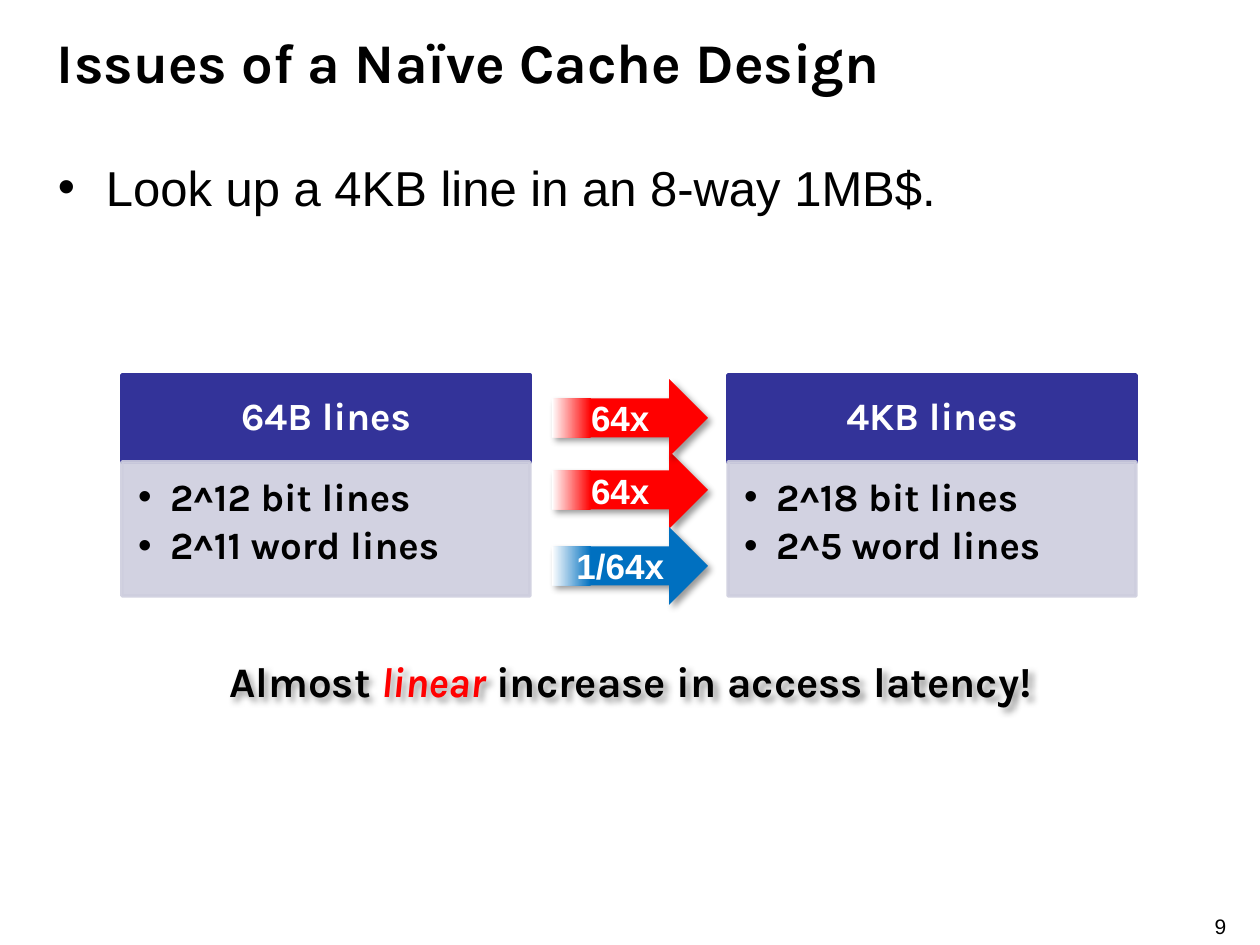
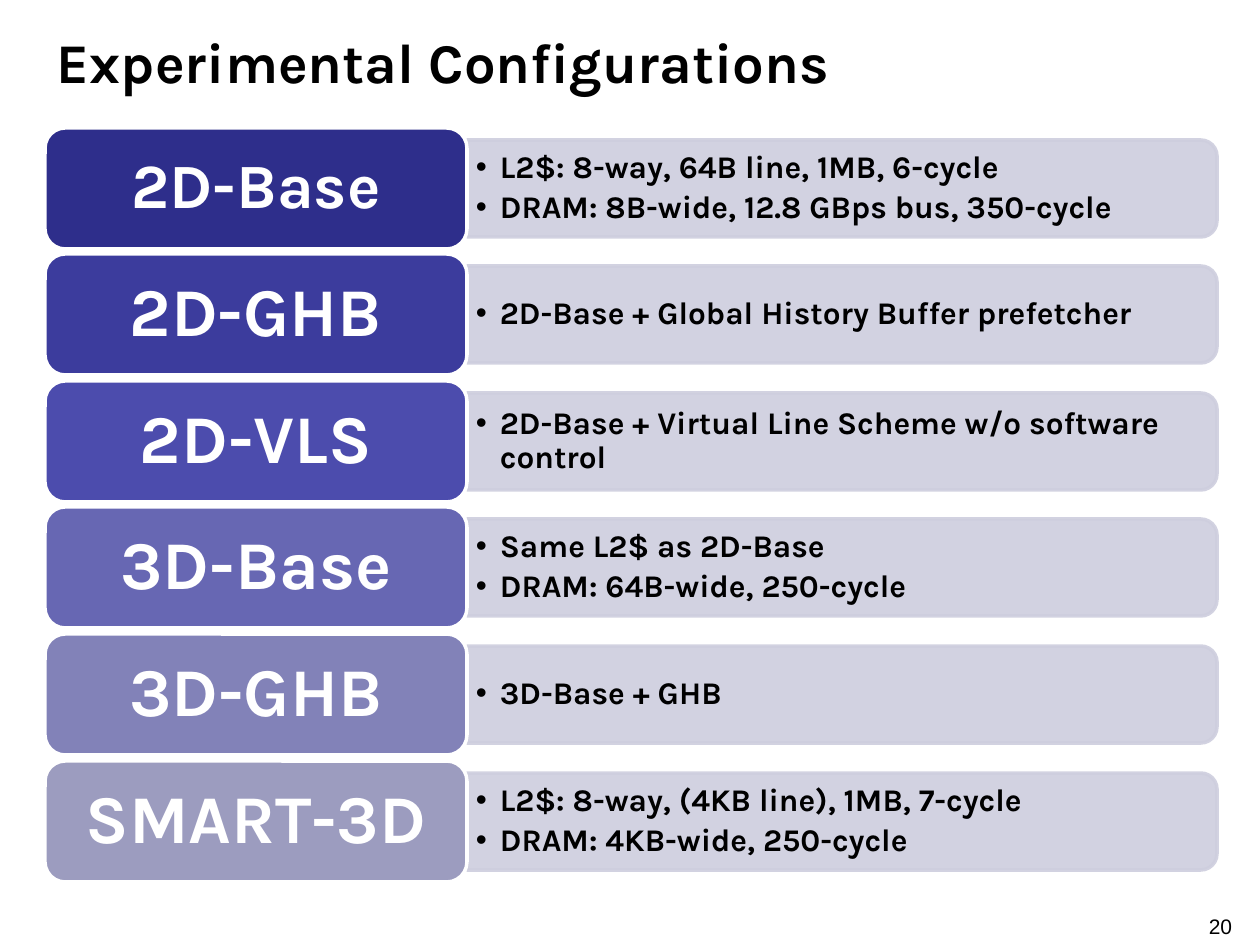
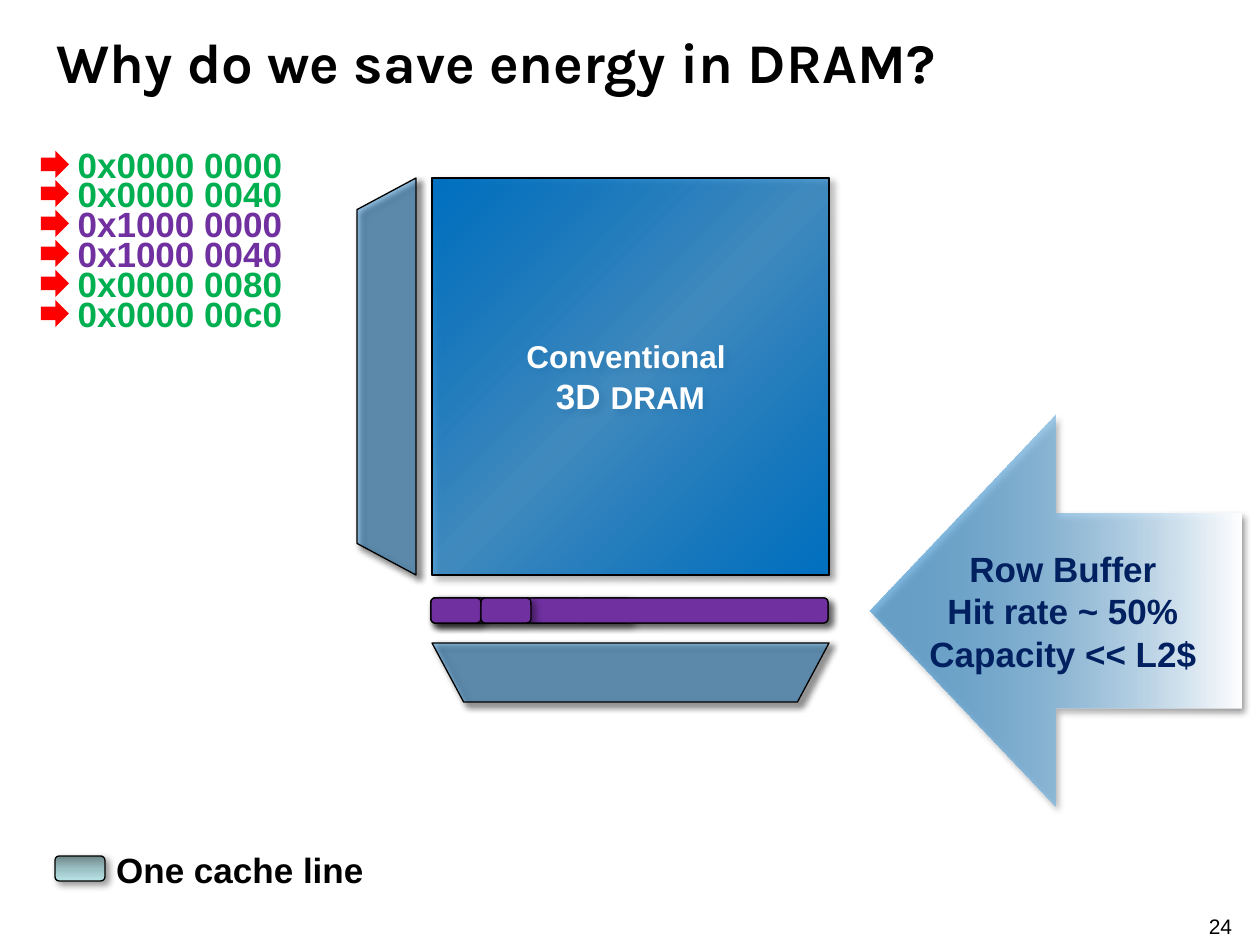
from lxml import etree
from pptx import Presentation
from pptx import util as u
from pptx.dml.color import RGBColor
from pptx.enum import shapes, text
from pptx.oxml.ns import qn

EMU_PER_PX = 914400 / 126
HEADING, BODY = "Karla", "Arial"
KIND = shapes.MSO_SHAPE
ALIGN = text.PP_ALIGN
ANCHOR = text.MSO_ANCHOR
COLORS = {
    "black": "000000", "white": "FFFFFF", "red": "FF0000", "blue": "0070C0",
    "navy": "002060", "indigo": "333399", "lavender": "CECEDE",
    "green": "00B050", "purple": "7030A0",
    "teal_dark": "6D8688", "teal": "9BBFC2", "teal_light": "B8E3E6",
    "base_2d": "2E2E8B", "ghb_2d": "3C3C9D", "vls_2d": "4C4CAD",
    "base_3d": "6767B3", "ghb_3d": "8282B8", "smart_3d": "9C9CBF",
}


def px(length):
    return u.Emu(round(length * EMU_PER_PX))


def rgb(color):
    return RGBColor.from_string(COLORS[color])


def set_alpha(srgb, percent):
    if percent < 100:
        etree.SubElement(srgb, qn("a:alpha")).set("val", str(percent * 1000))


def paint(fill_format, owner, color, alpha):
    """Solid fill; owner is the XML element that holds it."""
    fill_format.solid()
    fill_format.fore_color.rgb = rgb(color)
    set_alpha(owner.find(qn("a:solidFill")).find(qn("a:srgbClr")), alpha)


def paint_gradient(shape, stops, angle):
    """Stops are (percent, color, alpha); the angle runs clockwise."""
    shape.fill.gradient()
    shape.fill.gradient_angle = -angle % 360
    stop_list = shape._element.spPr.find(qn("a:gradFill")).find(qn("a:gsLst"))
    for old_stop in list(stop_list):
        stop_list.remove(old_stop)
    for position, color, alpha in stops:
        stop = etree.SubElement(stop_list, qn("a:gs"))
        stop.set("pos", str(position * 1000))
        srgb = etree.SubElement(stop, qn("a:srgbClr"))
        srgb.set("val", COLORS[color])
        set_alpha(srgb, alpha)


def cast_shadow(shape):
    shape.shadow.inherit = False
    effects = shape._element.spPr.find(qn("a:effectLst"))
    outer = etree.SubElement(effects, qn("a:outerShdw"))
    for key, value in (("blurRad", u.Pt(4)), ("dist", u.Pt(3)),
                       ("dir", 45 * 60000), ("algn", "tl"), ("rotWithShape", 0)):
        outer.set(key, str(value))
    srgb = etree.SubElement(outer, qn("a:srgbClr"))
    srgb.set("val", COLORS["black"])
    set_alpha(srgb, 40)


def add_block(slide, kind, box, fill=None, alpha=100, line=None, line_width=0.75,
              gradient=None, rotation=0, shadow=False):
    """Preset shape; box is its place as seen after the rotation."""
    left, top, width, height = box
    if rotation % 180:
        left, top = left + (width - height) / 2, top + (height - width) / 2
        width, height = height, width
    block = slide.shapes.add_shape(kind, px(left), px(top), px(width), px(height))
    block.rotation = rotation
    if gradient:
        paint_gradient(block, *gradient)
    else:
        paint(block.fill, block._element.spPr, fill, alpha)
    if line:
        block.line.width = u.Pt(line_width)
        paint(block.line.fill, block.line._ln, line, alpha)
    else:
        block.line.fill.background()
    if shadow:
        cast_shadow(block)
    else:
        block.shadow.inherit = False
    return block


def set_bullet(paragraph, indent):
    properties = paragraph._p.get_or_add_pPr()
    properties.set("marL", str(px(indent)))
    properties.set("indent", str(-px(indent)))
    etree.SubElement(properties, qn("a:buFont")).set("typeface", BODY)
    etree.SubElement(properties, qn("a:buChar")).set("char", "•")


def write(shape, lines, size, color="black", font=BODY, bold=True, align=ALIGN.CENTER,
          anchor=ANCHOR.MIDDLE, insets=(13, 6, 13, 6), bullet=0, spacing=None,
          after=0, wrap=True):
    """Fill a shape with one paragraph per line, all in one style."""
    frame = shape.text_frame
    frame.text = "\n".join(lines)
    frame.auto_size = text.MSO_AUTO_SIZE.NONE
    frame.word_wrap = wrap
    frame.vertical_anchor = anchor
    (frame.margin_left, frame.margin_top,
     frame.margin_right, frame.margin_bottom) = map(px, insets)
    for paragraph in frame.paragraphs:
        paragraph.alignment = align
        if bullet:
            set_bullet(paragraph, bullet)
        if spacing:
            paragraph.line_spacing = spacing
        if after:
            paragraph.space_after = u.Pt(after)
        for run in paragraph.runs:
            style_run(run, size, color, font, bold)
    return frame


def style_run(run, size, color, font=BODY, bold=True):
    run.font.size = u.Pt(size)
    run.font.name = font
    run.font.bold = bold
    run.font.color.rgb = rgb(color)


def add_label(slide, box, lines, size, **style):
    label = slide.shapes.add_textbox(*map(px, box))
    write(label, lines, size, **style)
    return label


def add_slide(deck, title, number):
    slide = deck.slides.add_slide(deck.slide_layouts[5])
    heading = slide.shapes.title
    heading.left, heading.top, heading.width, heading.height = map(px, (44, 9, 1173, 105))
    write(heading, [title], 32, font=HEADING, align=ALIGN.LEFT)
    add_label(slide, (1189, 914, 63, 25), [str(number)], 12, bold=False,
              anchor=ANCHOR.TOP, insets=(0, 0, 0, 0))
    return slide


def add_line_card(slide, left, header, facts):
    head = add_block(slide, KIND.RECTANGLE, (left, 375, 408, 87), "indigo",
                     line="indigo", line_width=2)
    write(head, [header], 22, "white", HEADING, spacing=0.9)
    body = add_block(slide, KIND.RECTANGLE, (left, 462, 408, 134), "lavender", 90,
                     line="lavender", line_width=2)
    write(body, facts, 22, font=HEADING, align=ALIGN.LEFT, anchor=ANCHOR.TOP,
          insets=(16, 16, 21, 24), bullet=32, spacing=0.9, after=3.8)


def add_factor_arrow(slide, top, factor, color):
    stops = [(0, color, 100), (75, color, 100), (100, "white", 100)]
    arrow = add_block(slide, KIND.RIGHT_ARROW, (552, top, 156, 78),
                      gradient=(stops, 180), shadow=True)
    write(arrow, [factor], 20, "white", insets=(0, 0, 0, 0), wrap=False)


def add_configuration(slide, top, name, size, color, facts):
    add_block(slide, KIND.ROUND_2_SAME_RECTANGLE, (467, top + 12, 750, 97), "lavender",
              90, line="lavender", line_width=2, rotation=90)
    add_label(slide, (467, top + 17, 746, 87), facts, 18, font=HEADING,
              align=ALIGN.LEFT, insets=(9, 5, 9, 5), bullet=24, spacing=0.9, after=3.2)
    tag = add_block(slide, KIND.ROUNDED_RECTANGLE, (45, top, 422, 121), color,
                    line="white", line_width=2)
    write(tag, [name], size, "white", HEADING, spacing=0.9)


def add_row_buffer(slide, color, cached_slots):
    """An open DRAM row and the cache lines read from it."""
    left, slot_width = 431, 50
    spans = [(left, 397)] + [(left + slot * slot_width, slot_width) for slot in cached_slots]
    for start, width in spans:
        add_block(slide, KIND.ROUNDED_RECTANGLE, (start, 598, width, 25), color,
                  line="black", shadow=True)


def add_decoder(slide, box, rotation):
    decoder = add_block(slide, KIND.TRAPEZOID, box, "blue", 40, rotation=rotation,
                        shadow=True)
    decoder.adjustments[0] = 0.535
    decoder.line.width = u.Pt(0.75)
    decoder.line.color.rgb = rgb("black")


def build_naive_design(deck):
    slide = add_slide(deck, "Issues of a Naïve Cache Design", 9)
    add_label(slide, (45, 151, 1172, 747), ["Look up a 4KB line in an 8-way 1MB$."], 28,
              bold=False, align=ALIGN.LEFT, anchor=ANCHOR.TOP, bullet=48)
    add_line_card(slide, 122, "64B lines", ["2^12 bit lines", "2^11 word lines"])
    add_line_card(slide, 728, "4KB lines", ["2^18 bit lines", "2^5 word lines"])
    for top, factor, color in ((451, "64x", "red"), (527, "1/64x", "blue"),
                               (379, "64x", "red")):
        add_factor_arrow(slide, top, factor, color)

    conclusion = add_label(slide, (184, 649, 893, 63), ["Almost "], 24, font=HEADING)
    sentence = conclusion.text_frame.paragraphs[0]
    for words, color in (("linear ", "red"), ("increase in access latency!", "black")):
        run = sentence.add_run()
        run.text = words
        style_run(run, 24, color, HEADING)
        run.font.italic = color == "red"
    cast_shadow(conclusion)


def build_configurations(deck):
    slide = add_slide(deck, "Experimental Configurations", 20)
    configurations = [
        ("2D-Base", 36, "base_2d", ["L2$: 8-way, 64B line, 1MB, 6-cycle",
                                    "DRAM: 8B-wide, 12.8 GBps bus, 350-cycle"]),
        ("2D-GHB", 39, "ghb_2d", ["2D-Base + Global History Buffer prefetcher"]),
        ("2D-VLS", 39, "vls_2d", ["2D-Base + Virtual Line Scheme w/o software control"]),
        ("3D-Base", 39, "base_3d", ["Same L2$ as 2D-Base", "DRAM: 64B-wide, 250-cycle"]),
        ("3D-GHB", 39, "ghb_3d", ["3D-Base + GHB"]),
        ("SMART-3D", 39, "smart_3d", ["L2$: 8-way, (4KB line), 1MB, 7-cycle",
                                      "DRAM: 4KB-wide, 250-cycle"]),
    ]
    for row, configuration in enumerate(configurations):
        add_configuration(slide, 128 + row * 633 // 5, *configuration)


def build_dram_energy(deck):
    slide = add_slide(deck, "Why do we save energy in DRAM?", 24)
    sheen = [(0, "blue", 100), (50, "blue", 65), (100, "blue", 100)]
    dram = add_block(slide, KIND.RECTANGLE, (432, 178, 397, 397), line="black",
                     gradient=(sheen, 45), shadow=True)
    frame = write(dram, ["Conventional ", "3D "], 18, "white")
    stacked = frame.paragraphs[1]
    stacked.runs[0].font.size = u.Pt(20)
    kind = stacked.add_run()
    kind.text = "DRAM"
    style_run(kind, 18, "white")

    add_decoder(slide, (357, 178, 59, 397), 270)
    add_decoder(slide, (432, 643, 397, 59), 180)
    add_row_buffer(slide, "green", (0, 2, 3))
    add_row_buffer(slide, "purple", (0, 1))

    add_block(slide, KIND.RIGHT_ARROW, (869, 415, 372, 392), rotation=180, shadow=True,
              gradient=([(0, "white", 100), (100, "blue", 50)], 0))
    add_label(slide, (912, 541, 302, 140),
              ["Row Buffer", "Hit rate ~ 50%", "Capacity << L2$"], 20, color="navy")

    teals = [(0, "teal_dark", 100), (50, "teal", 100), (100, "teal_light", 100)]
    add_block(slide, KIND.ROUNDED_RECTANGLE, (55, 856, 50, 25), line="black",
              gradient=(teals, 90), shadow=True)
    add_label(slide, (101, 842, 278, 55), ["One cache line"], 20)

    addresses = [("0x0000 0000", "green"), ("0x0000 0040", "green"),
                 ("0x1000 0000", "purple"), ("0x1000 0040", "purple"),
                 ("0x0000 0080", "green"), ("0x0000 00c0", "green")]
    for row, (address, color) in enumerate(addresses):
        top = 137 + row * 149 // 5
        add_label(slide, (61, top, 238, 55), [address], 20, color=color)
        add_block(slide, KIND.RIGHT_ARROW, (41, top + 14, 28, 27), "red")


def main():
    deck = Presentation()
    deck.slide_width, deck.slide_height = px(1260), px(945)
    build_naive_design(deck)
    build_configurations(deck)
    build_dram_energy(deck)
    deck.save("out.pptx")


if __name__ == "__main__":
    main()
